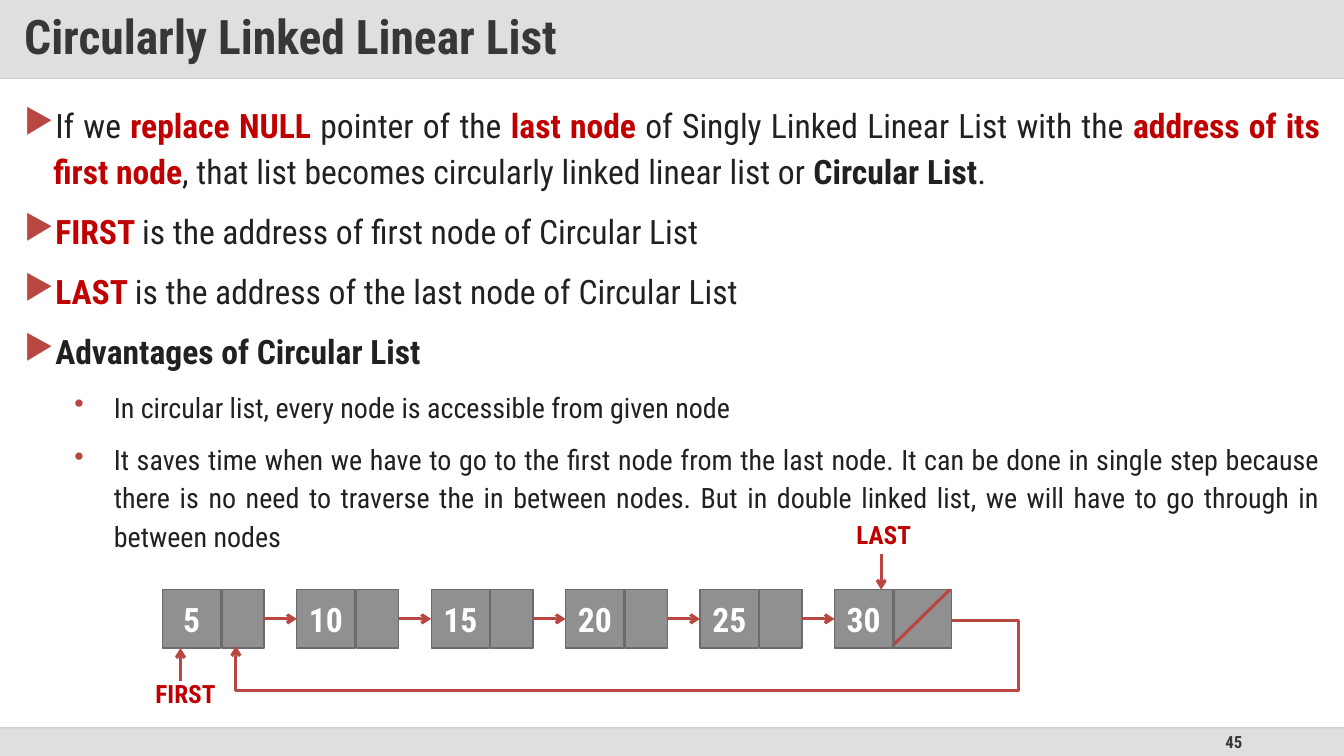
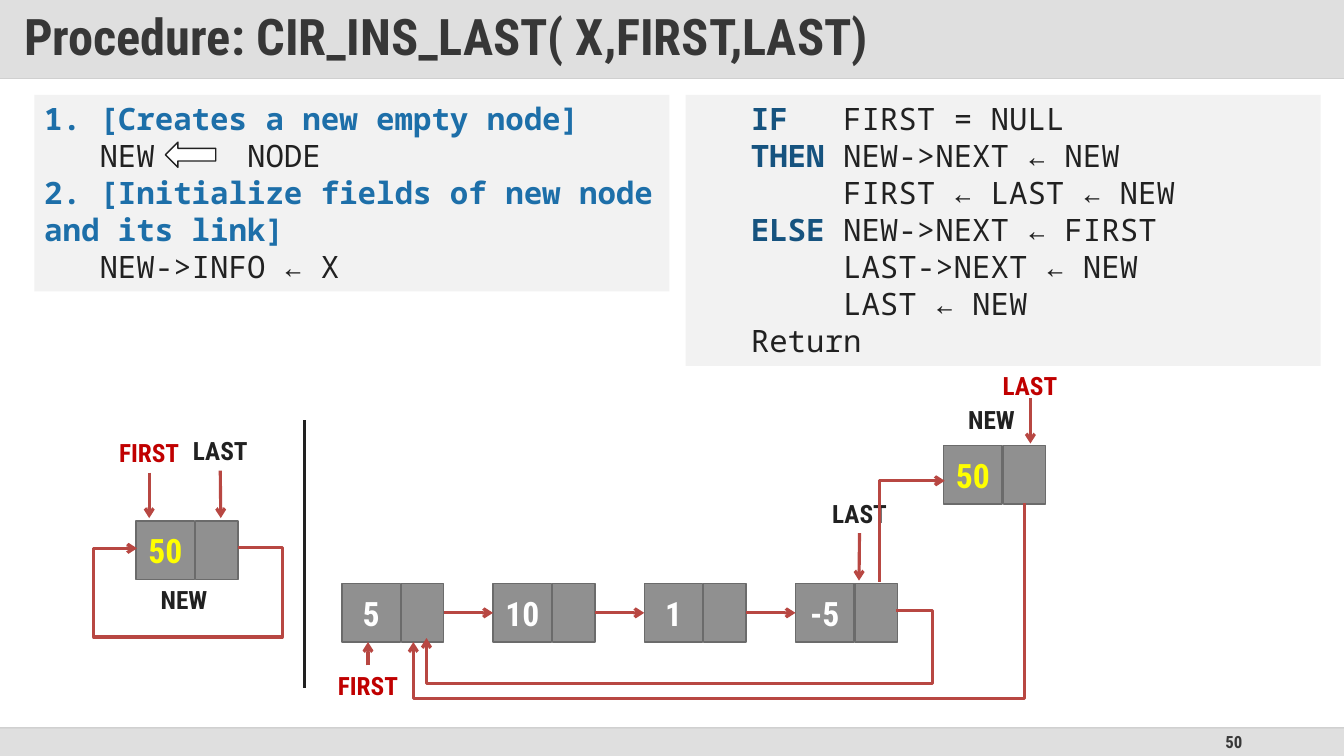
"""Two slides on circular linked lists, with node diagrams."""
from lxml.etree import SubElement
from pptx import Presentation
from pptx.dml.color import RGBColor
from pptx.enum.shapes import MSO_CONNECTOR, MSO_SHAPE
from pptx.enum.text import MSO_ANCHOR as ANCHOR, PP_ALIGN as ALIGN
from pptx.oxml import parse_xml
from pptx.oxml.ns import nsdecls, qn
from pptx.util import Inches, Pt

INK = RGBColor(0x21, 0x21, 0x21)
HEAD = RGBColor(0x37, 0x37, 0x37)
RED = RGBColor(0xC0, 0x00, 0x00)
BRICK = RGBColor(0xB8, 0x47, 0x42)
BLUE = RGBColor(0x1D, 0x6F, 0xA9)
NAVY = RGBColor(0x16, 0x53, 0x7F)
WHITE = RGBColor(0xFF, 0xFF, 0xFF)
YELLOW = RGBColor(0xFF, 0xFF, 0x00)
CELL = RGBColor(0x90, 0x90, 0x90)
EDGE = RGBColor(0x6B, 0x6B, 0x6B)
PANEL = RGBColor(0xF2, 0xF2, 0xF2)
BAND = RGBColor(0xC0, 0xC0, 0xC0)
FOOT = RGBColor(0xDF, 0xDF, 0xDF)
RULE = RGBColor(0xD9, 0xD9, 0xD9)
BASE = RGBColor(0xBF, 0xBF, 0xBF)
SANS, MONO = "Roboto Condensed", "Noto Sans Mono"


def put(slide, box, paras=(), size=18, color=INK, bold=True, face=SANS,
        align=ALIGN.CENTER, anchor=ANCHOR.MIDDLE, fill=None, edge=None,
        wrap=True, kind=MSO_SHAPE.RECTANGLE):
    area = [Inches(v) for v in box]
    if fill is None:
        shape = slide.shapes.add_textbox(*area)
    else:
        shape = slide.shapes.add_shape(kind, *area)
        shape.shadow.inherit = False
        shape.fill.solid()
        shape.fill.fore_color.rgb = fill
        if edge is None:
            shape.line.fill.background()
        else:
            shape.line.color.rgb = edge
            shape.line.width = Pt(1)
    frame = shape.text_frame
    frame.word_wrap = wrap
    frame.vertical_anchor = anchor
    for i, para in enumerate(paras):
        p = frame.add_paragraph() if i else frame.paragraphs[0]
        p.alignment = align
        p.font.size = Pt(size)
        p.font.name = face
        runs = [(para, color, bold)] if isinstance(para, str) else para
        for text, tint, heavy in runs:
            run = p.add_run()
            run.text = text
            font = run.font if len(runs) > 1 else p.font
            font.color.rgb = tint
            font.bold = heavy
    return shape


def link(slide, points, color=BRICK, width=2.25, arrow=True):
    spots = [(Inches(x), Inches(y)) for x, y in points]
    if len(spots) == 2:
        line = slide.shapes.add_connector(MSO_CONNECTOR.STRAIGHT, *spots[0], *spots[1])
    else:
        pen = slide.shapes.build_freeform(*spots[0])
        pen.add_line_segments(spots[1:], close=False)
        line = pen.convert_to_shape()
        line.fill.background()
    line.line.color.rgb = color
    line.line.width = Pt(width)
    props = line._element.spPr
    if arrow:
        SubElement(props.find(qn("a:ln")), qn("a:tailEnd"), type="arrow")
    SubElement(props, qn("a:effectLst"))
    return line


deck = Presentation()
deck.slide_width, deck.slide_height = Inches(13.33), Inches(7.5)

for title, size, page in (
        ("Circularly Linked Linear List", 34, "45"),
        ("Procedure: CIR_INS_LAST( X,FIRST,LAST)", 36, "50")):
    slide = deck.slides.add_slide(deck.slide_layouts[6])
    put(slide, (0, 7.22, 13.33, 0.28), fill=FOOT)
    put(slide, (9.42, 7.22, 3, 0.28), [page], 12, HEAD, align=ALIGN.RIGHT)
    link(slide, [(0, 0.78), (13.33, 0.78)], RULE, 1, False)
    base = link(slide, [(0, 7.22), (13.33, 7.22)], BASE, 1, False)
    band = put(slide, (0, 0, 13.33, 0.78), [title], size, HEAD,
               align=ALIGN.LEFT, fill=BAND)
    frame = band.text_frame
    frame.margin_left = frame.margin_right = Inches(0.24)
    frame.margin_top = frame.margin_bottom = Inches(0.12)
    frame.paragraphs[0].line_spacing = 0.9
    for shape, alpha in ((base, 70), (band, 50)):
        tint = next(shape._element.spPr.iter(qn("a:srgbClr")))
        SubElement(tint, qn("a:alpha"), val=str(alpha * 1000))

intro, proc = deck.slides

body = put(intro, (0.14, 0.94, 13.05, 6.11), [
    [("If we ", INK, False), ("replace NULL ", RED, True),
     ("pointer of the ", INK, False), ("last node ", RED, True),
     ("of Singly Linked Linear List with the ", INK, False),
     ("address of its first node", RED, True),
     (", that list becomes circularly linked linear list or ", INK, False),
     ("Circular List", INK, True), (".", INK, False)],
    [("FIRST ", RED, True),
     ("is the address of first node of Circular List", INK, False)],
    [("LAST ", RED, True),
     ("is the address of the last node of Circular List", INK, False)],
    [("Advantages of Circular List", INK, True)],
    "In circular list, every node is accessible from given node",
    "It saves time when we have to go to the first node from the last node. "
    "It can be done in single step because there is no need to traverse the "
    "in between nodes. But in double linked list, we will have to go through "
    "in between nodes",
], 24, bold=False, align=ALIGN.JUSTIFY, anchor=ANCHOR.TOP)
for i, p in enumerate(body.text_frame.paragraphs):
    sub = i > 3
    mark, left, hang = ("•", 0.89, 0.39) if sub else ("▶", 0.29, 0.29)
    p.line_spacing = 1.14
    if i:
        p.space_before = Pt(10)
    if sub:
        p.level = 1
        p.font.size = Pt(20)
    props = p._p.get_or_add_pPr()
    props.set("marL", str(Inches(left)))
    props.set("indent", str(-Inches(hang)))
    font = props.find(qn("a:defRPr"))
    for xml in (f'<a:buClr {nsdecls("a")}><a:srgbClr val="{BRICK}"/></a:buClr>',
                f'<a:buChar {nsdecls("a")} char="{mark}"/>'):
        font.addprevious(parse_xml(xml))

for left, high, code in (
        (0.34, 1.95, [
            [("1. [Creates a new empty node]", BLUE, True)],
            "   NEW     NODE",
            [("2. [Initialize fields of new node and its link]", BLUE, True)],
            "   NEW->INFO ← X"]),
        (6.8, 2.69, [
            [("   IF   ", NAVY, True), ("FIRST = NULL", INK, False)],
            [("   THEN ", NAVY, True), ("NEW->NEXT ← NEW", INK, False)],
            "        FIRST ← LAST ← NEW",
            [("   ELSE ", NAVY, True), ("NEW->NEXT ← FIRST", INK, False)],
            "        LAST->NEXT ← NEW",
            "        LAST ← NEW",
            "   Return"])):
    put(proc, (left, 0.94, 6.3, high), code, 22, bold=False, face=MONO,
        align=ALIGN.LEFT, anchor=ANCHOR.TOP, fill=PANEL)
put(proc, (1.64, 1.41, 0.5, 0.25), fill=WHITE, edge=INK, kind=MSO_SHAPE.LEFT_ARROW)

for slide, left, top, step, tint, wide, values in (
        (intro, 1.61, 5.85, 4 / 3, WHITE, 0.57, ("5", "10", "15", "20", "25", "30")),
        (proc, 3.39, 5.79, 1.5, WHITE, 0.42, ("5", "10", "1", "-5")),
        (proc, 9.36, 4.42, 0, YELLOW, 0.42, ("50",)),
        (proc, 1.35, 5.17, 0, YELLOW, 0.42, ("50",))):
    prior = None
    for i, value in enumerate(values):
        x = left + i * step
        last = i == len(values) - 1
        info = put(slide, (x, top, 0.58, 0.58), [value], 24, tint,
                   fill=CELL, edge=EDGE)
        after = put(slide, (x + 0.59, top, wide if last else 0.42, 0.58),
                    fill=CELL, edge=EDGE)
        if prior:
            mid = top + 0.29
            wire = link(slide, [(x - step + 1.01, mid), (x, mid)])
            wire.begin_connect(prior, 3)
            wire.end_connect(info, 1)
        prior = after

for slide, text, tint, x, y, wide, points, side in (
        (intro, "FIRST", RED, 1.44, 6.68, 0.8, [(1.79, 6.76), (1.79, 6.43)], None),
        (intro, "LAST", RED, 8.39, 5.1, 0.75, [(8.74, 5.5), (8.74, 5.85)], None),
        (proc, "FIRST", RED, 3.25, 6.6, 0.8, [(3.65, 6.6), (3.65, 6.37)], 0),
        (proc, "FIRST", RED, 1.08, 4.29, 0.8, [(1.48, 4.69), (1.48, 5.14)], 2),
        (proc, "LAST", INK, 1.81, 4.27, 0.75, [(2.19, 4.67), (2.19, 5.14)], 2),
        (proc, "LAST", INK, 8.15, 4.89, 0.75, [(8.52, 5.29), (8.52, 5.76)], 2),
        (proc, "LAST", RED, 9.84, 3.62, 0.75, [(10.22, 3.95), (10.22, 4.4)], None),
        (proc, "NEW", INK, 1.49, 5.75, 0.67, None, None),
        (proc, "NEW", INK, 9.5, 3.96, 0.67, None, None)):
    label = put(slide, (x, y, wide, 0.4), [text], color=tint, wrap=False)
    if points:
        wire = link(slide, points)
        if side is not None:
            wire.begin_connect(label, side)

for slide, points in (
        (intro, [(9.43, 6.16), (10.1, 6.16), (10.1, 6.85), (2.34, 6.85), (2.34, 6.41)]),
        (proc, [(8.89, 6.06), (9.25, 6.06), (9.25, 6.78), (4.23, 6.78), (4.23, 6.33)]),
        (proc, [(2.36, 5.43), (2.8, 5.43), (2.8, 6.32), (0.93, 6.32), (0.93, 5.44),
                (1.36, 5.44)]),
        (proc, [(10.16, 4.99), (10.16, 6.93), (4.1, 6.93), (4.1, 6.37)]),
        (proc, [(8.72, 5.77), (8.72, 4.77), (9.37, 4.77)])):
    link(slide, points)
link(intro, [(8.87, 6.39), (9.42, 5.85)], arrow=False)
link(proc, [(3.02, 4.17), (3.02, 6.83)], INK, 1.5, False)

deck.save("out.pptx")
